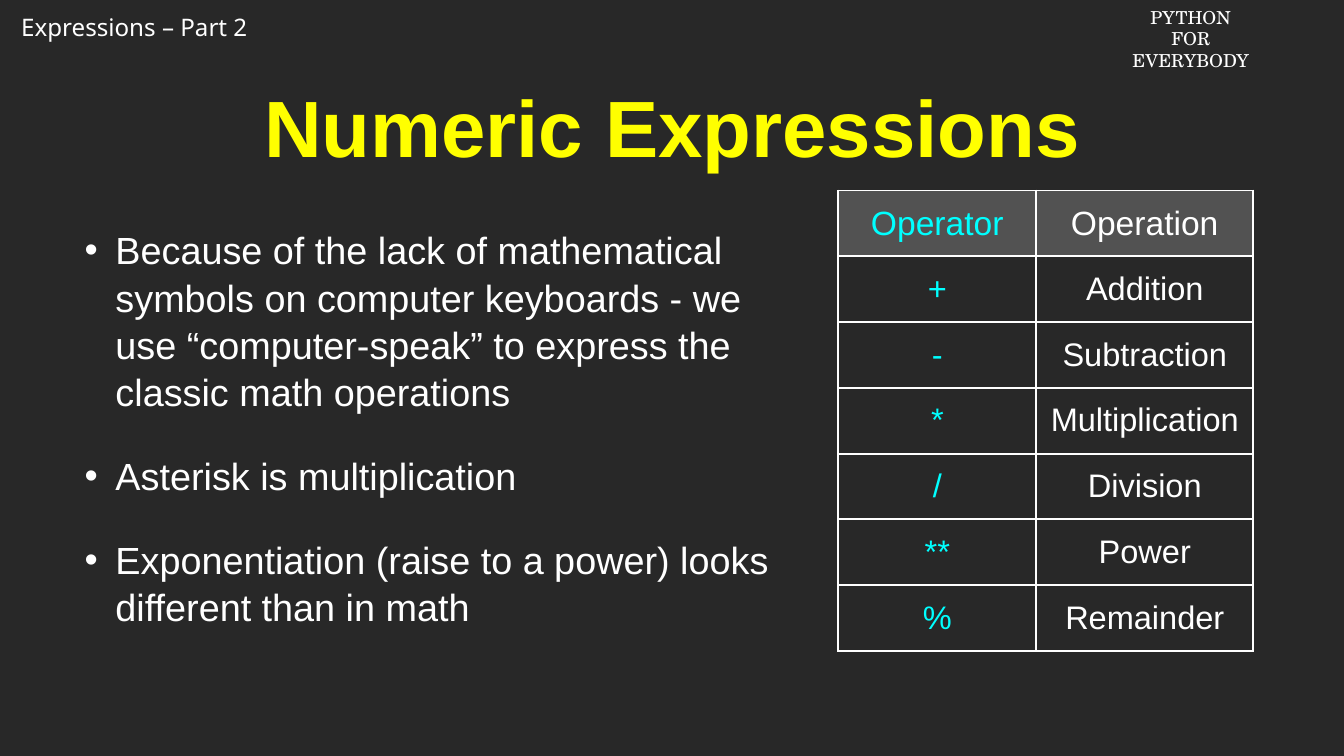
from dataclasses import dataclass

from lxml.etree import SubElement
from pptx import Presentation
from pptx.dml.color import RGBColor
from pptx.enum.text import MSO_ANCHOR, MSO_AUTO_SIZE, PP_ALIGN
from pptx.oxml import parse_xml
from pptx.oxml.ns import nsdecls, qn
from pptx.util import Cm, Pt

WHITE = "FFFFFF"
YELLOW = "FFFF00"
CYAN = "00FFFF"
BACKDROP = "282828"
HEADING_GRAY = "7F7F7F"
INSET = Cm(0.1)
ROW_HEIGHT = 2.21
COLUMN_WIDTHS = (6.65, 7.29)


@dataclass(frozen=True)
class Box:
    left: float
    top: float
    width: float
    height: float

    def lengths(self) -> tuple:
        return Cm(self.left), Cm(self.top), Cm(self.width), Cm(self.height)


@dataclass(frozen=True)
class Style:
    size: float
    color: str
    font: str = "Arial"
    bold: bool = False
    align: PP_ALIGN = PP_ALIGN.CENTER


@dataclass(frozen=True)
class Header:
    box: Box
    lines: str
    style: Style


@dataclass(frozen=True)
class Operator:
    symbol: str
    operation: str


HEADERS = (
    Header(Box(0.46, 0.3, 8.51, 1.24), "Expressions – Part 2",
           Style(23, WHITE, "Noto Sans", align=PP_ALIGN.LEFT)),
    Header(Box(37.8, 0.1, 4.42, 1.7), "PYTHON\vFOR\nEVERYBODY",
           Style(17, WHITE, "TeX Gyre Schola")),
)

POINTS = (
    "Because of the lack of mathematical symbols on computer keyboards - we use "
    "“computer-speak” to express the classic math operations",
    "Asterisk is multiplication",
    "Exponentiation (raise to a power) looks different than in math",
)

OPERATORS = (
    Operator("Operator", "Operation"),
    Operator("+", "Addition"),
    Operator("-", "Subtraction"),
    Operator("*", "Multiplication"),
    Operator("/", "Division"),
    Operator("**", "Power"),
    Operator("%", "Remainder"),
)


def rgb(color: str) -> RGBColor:
    return RGBColor.from_string(color)


def format_text(frame, style: Style) -> None:
    for paragraph in frame.paragraphs:
        paragraph.alignment = style.align
        for run in paragraph.runs:
            run.font.size = Pt(style.size)
            run.font.name = style.font
            run.font.bold = style.bold
            run.font.color.rgb = rgb(style.color)


def set_insets(target) -> None:
    target.margin_left = target.margin_right = INSET
    target.margin_top = target.margin_bottom = INSET


def fill_placeholder(placeholder, box: Box, text: str, style: Style):
    placeholder.left, placeholder.top, placeholder.width, placeholder.height = box.lengths()
    frame = placeholder.text_frame
    frame.text = text
    frame.word_wrap = True
    frame.auto_size = MSO_AUTO_SIZE.NONE
    frame.vertical_anchor = MSO_ANCHOR.MIDDLE
    set_insets(frame)
    format_text(frame, style)
    return frame


def add_bullets(frame) -> None:
    for position, paragraph in enumerate(frame.paragraphs):
        properties = paragraph._p.get_or_add_pPr()
        properties.set("marL", str(Cm(2.08)))
        properties.set("indent", str(Cm(-1.04)))
        bullet_color = SubElement(properties, qn("a:buClr"))
        SubElement(bullet_color, qn("a:srgbClr"), val=WHITE)
        SubElement(properties, qn("a:buFont"), typeface="Arial")
        SubElement(properties, qn("a:buChar"), char="•")
        paragraph.line_spacing = 1.04
        paragraph.space_before = Pt(35 if position else 0)


def add_header(slide, header: Header) -> None:
    frame = slide.shapes.add_textbox(*header.box.lengths()).text_frame
    frame.text = header.lines
    frame.word_wrap = False
    format_text(frame, header.style)


def add_borders(cell) -> None:
    properties = cell._tc.get_or_add_tcPr()
    for position, side in enumerate(("lnL", "lnR", "lnT", "lnB")):
        properties.insert(position, parse_xml(
            f'<a:{side} {nsdecls("a")} w="{Pt(2)}"><a:solidFill>'
            f'<a:srgbClr val="{WHITE}"/></a:solidFill></a:{side}>'))


def fill_cell(cell, text: str, color: str, is_heading: bool) -> None:
    cell.text = text
    cell.vertical_anchor = MSO_ANCHOR.MIDDLE
    set_insets(cell)
    format_text(cell.text_frame, Style(32 if is_heading else 31, color))
    if is_heading:
        cell.fill.solid()
        cell.fill.fore_color.rgb = rgb(HEADING_GRAY)
        shade = cell._tc.tcPr.find(".//" + qn("a:srgbClr"))
        SubElement(shade, qn("a:alpha"), val="49000")
    else:
        cell.fill.background()
    add_borders(cell)


def add_operator_table(slide) -> None:
    box = Box(28.17, 6.4, sum(COLUMN_WIDTHS), ROW_HEIGHT * len(OPERATORS))
    table = slide.shapes.add_table(
        len(OPERATORS), len(COLUMN_WIDTHS), *box.lengths()).table
    for column, width in zip(table.columns, COLUMN_WIDTHS):
        column.width = Cm(width)
    for row, operator in enumerate(OPERATORS):
        table.rows[row].height = Cm(ROW_HEIGHT)
        fill_cell(table.cell(row, 0), operator.symbol, CYAN, row == 0)
        fill_cell(table.cell(row, 1), operator.operation, WHITE, row == 0)


def main() -> None:
    presentation = Presentation()
    presentation.slide_width = Cm(45.16)
    presentation.slide_height = Cm(25.4)
    slide = presentation.slides.add_slide(presentation.slide_layouts[1])
    slide.background.fill.solid()
    slide.background.fill.fore_color.rgb = rgb(BACKDROP)

    for header in HEADERS:
        add_header(slide, header)
    fill_placeholder(slide.shapes.title, Box(1.75, 2.51, 41.66, 3.45),
                     "Numeric Expressions", Style(76, YELLOW, bold=True))
    points = fill_placeholder(slide.placeholders[1], Box(1.7, 5.97, 25.1, 16.76),
                              "\n".join(POINTS), Style(36, WHITE, align=PP_ALIGN.LEFT))
    add_bullets(points)
    add_operator_table(slide)
    presentation.save("out.pptx")


if __name__ == "__main__":
    main()
